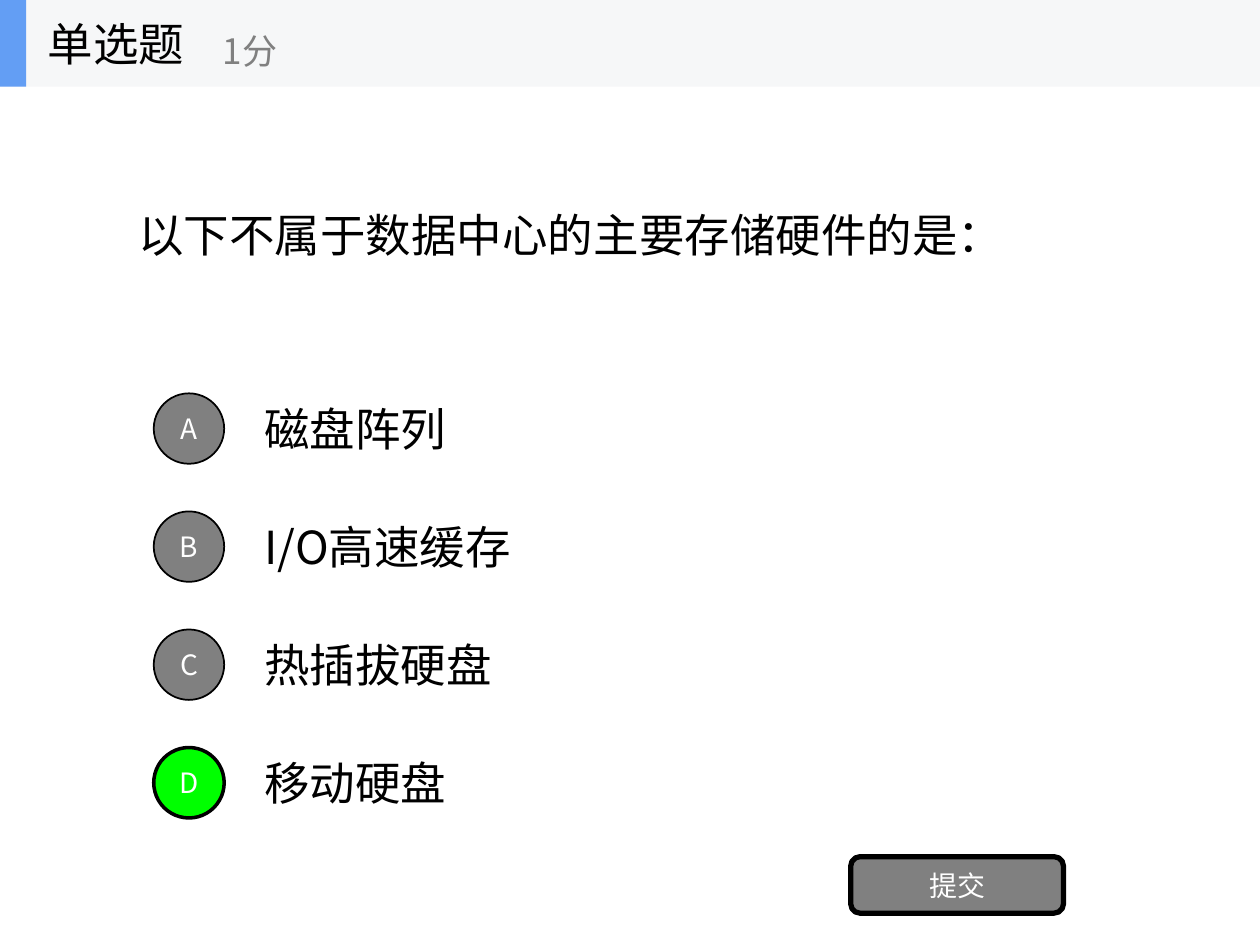
"""Build a single-choice question slide with four options and a submit button."""
from lxml.etree import SubElement
from pptx import Presentation
from pptx.dml.color import RGBColor
from pptx.enum.shapes import MSO_SHAPE as Shape
from pptx.enum.text import MSO_ANCHOR as Anchor, PP_ALIGN as Align
from pptx.oxml.ns import qn
from pptx.util import Cm, Pt

HEADING = "单选题"
SCORE = "1分"
QUESTION = "以下不属于数据中心的主要存储硬件的是："
OPTIONS = ["磁盘阵列", "I/O高速缓存", "热插拔硬盘", "移动硬盘"]
CORRECT = 3
SUBMIT = "提交"

FONT = "Noto Sans CJK SC"
BLACK = RGBColor(0x00, 0x00, 0x00)
WHITE = RGBColor(0xFF, 0xFF, 0xFF)
GRAY = RGBColor(0x80, 0x80, 0x80)
GREEN = RGBColor(0x00, 0xFF, 0x00)
BLUE = RGBColor(0x63, 0x9E, 0xF4)
PALE = RGBColor(0xF6, 0xF7, 0xF8)

WIDTH, HEIGHT = 25.4, 19.05
HEADER_HEIGHT = 1.75
OPTION_TOP, OPTION_STEP, OPTION_HEIGHT = 7.75, 2.38, 1.78
CIRCLE = 1.42


def write(shape, text, size, color, align=Align.LEFT):
    frame = shape.text_frame
    frame.word_wrap = True
    frame.vertical_anchor = Anchor.MIDDLE
    paragraph = frame.paragraphs[0]
    paragraph.text = text
    paragraph.alignment = align
    font = paragraph.font
    font.size = Pt(size)
    font.color.rgb = color
    font.name = FONT
    defaults = paragraph._p.pPr.find(qn("a:defRPr"))
    SubElement(defaults, qn("a:ea")).set("typeface", FONT)


def add_text(shapes, box, text, size=26, color=BLACK):
    write(shapes.add_textbox(*map(Cm, box)), text, size, color)


def add_block(shapes, kind, box, fill, line_width=0, label=None):
    shape = shapes.add_shape(kind, *map(Cm, box))
    shape.shadow.inherit = False
    shape.fill.solid()
    shape.fill.fore_color.rgb = fill
    if line_width:
        shape.line.color.rgb = BLACK
        shape.line.width = Pt(line_width)
    else:
        shape.line.fill.background()
    if label:
        write(shape, label, 16, WHITE, Align.CENTER)
        frame = shape.text_frame
        frame.margin_left = frame.margin_right = 0


def main():
    presentation = Presentation()
    presentation.slide_width, presentation.slide_height = Cm(WIDTH), Cm(HEIGHT)
    slide = presentation.slides.add_slide(presentation.slide_layouts[6])
    shapes = slide.shapes

    add_text(shapes, (2.54, HEADER_HEIGHT, 20.32, 5.94), QUESTION)
    for index, option in enumerate(OPTIONS):
        top = OPTION_TOP + index * OPTION_STEP
        add_text(shapes, (5.08, top, 17.78, OPTION_HEIGHT), option)
        correct = index == CORRECT
        circle_top = top + (OPTION_HEIGHT - CIRCLE) / 2
        add_block(shapes, Shape.OVAL, (3.1, circle_top, CIRCLE, CIRCLE),
                  GREEN if correct else GRAY, 2 if correct else 1, "ABCD"[index])
    add_block(shapes, Shape.ROUNDED_RECTANGLE, (17.15, 17.27, 4.29, 1.14), GRAY, 3, SUBMIT)

    header = shapes.add_group_shape().shapes
    add_block(header, Shape.RECTANGLE, (0, 0, WIDTH, HEADER_HEIGHT), PALE)
    add_block(header, Shape.RECTANGLE, (0, 0, 0.53, HEADER_HEIGHT), BLUE)
    add_text(header, (0.71, 0, 5.28, HEADER_HEIGHT), HEADING)
    add_text(header, (4.24, 0.3, 6.35, 1.42), SCORE, 20, GRAY)

    presentation.save("out.pptx")


if __name__ == "__main__":
    main()
